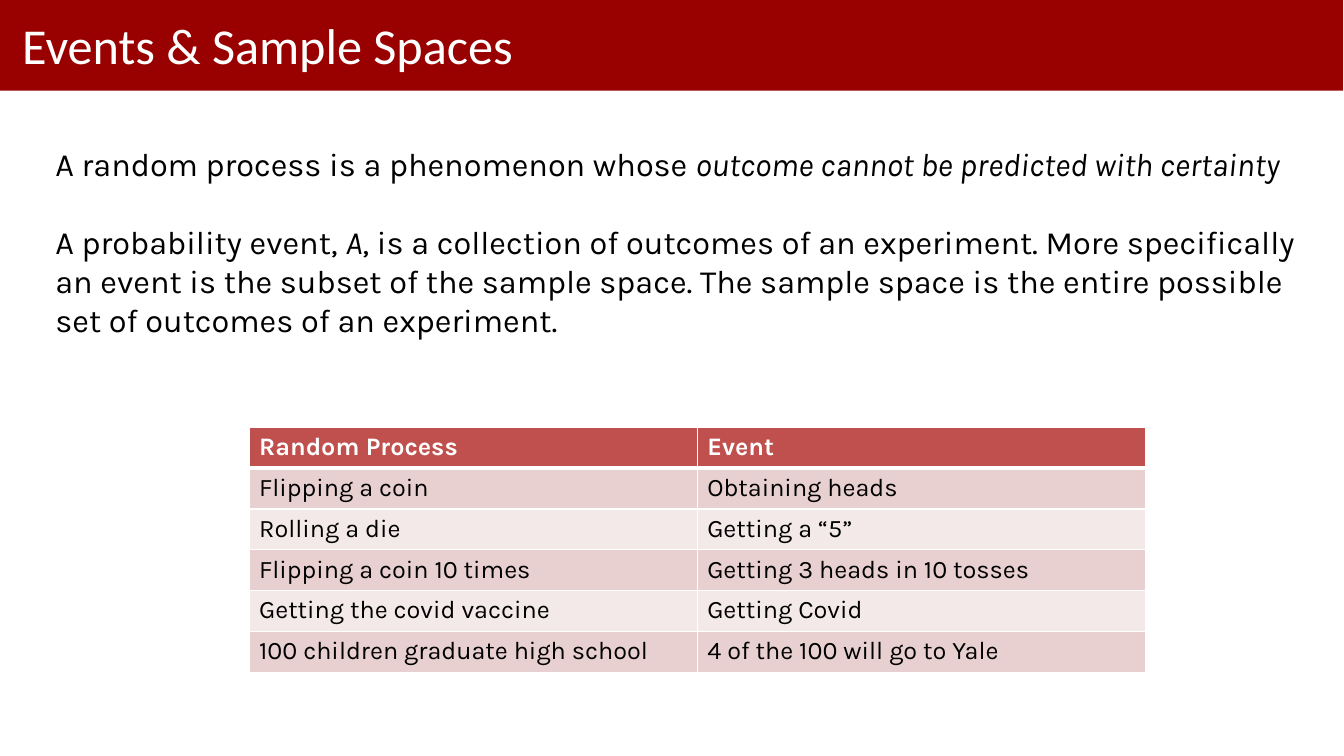
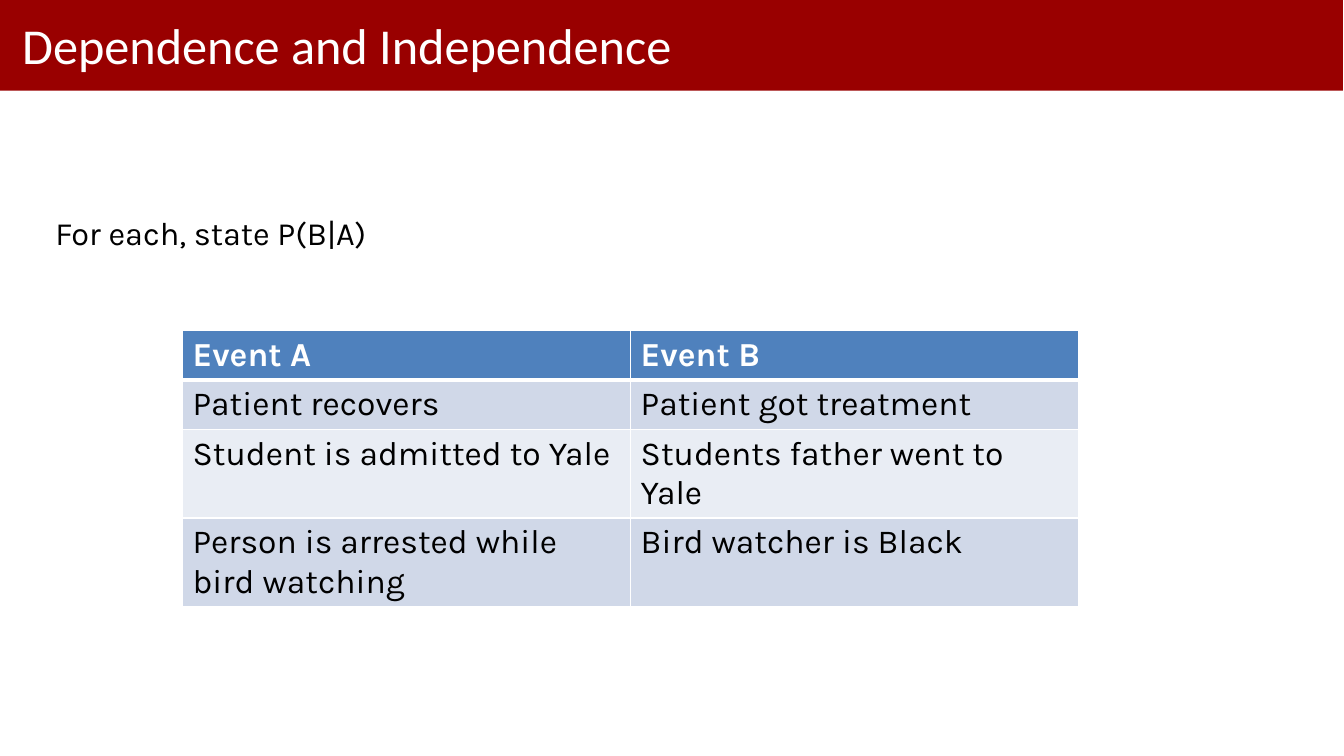
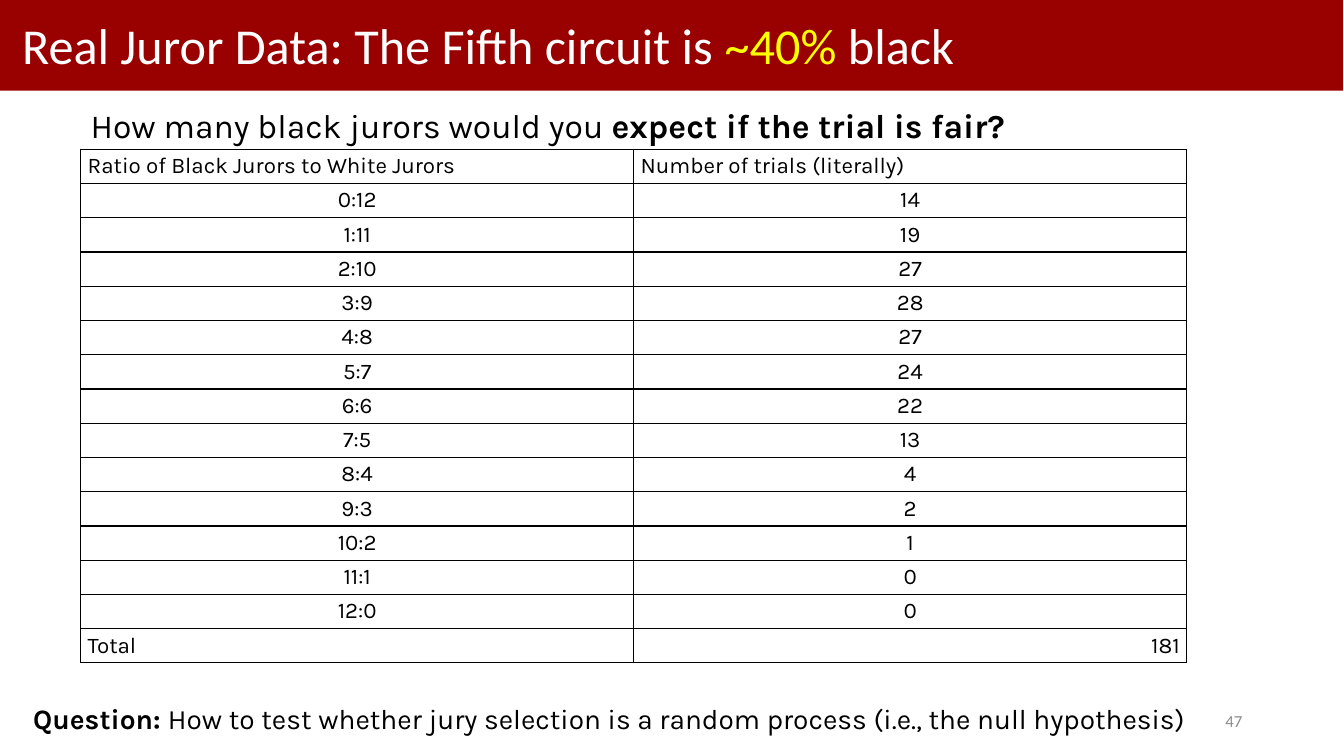
"""Builds three slides on probability, dependence and juror data."""
from lxml.etree import SubElement
from pptx import Presentation
from pptx.dml.color import RGBColor as RGB
from pptx.enum.shapes import MSO_SHAPE as Shape
from pptx.enum.text import MSO_ANCHOR as Anchor, MSO_AUTO_SIZE as Auto, PP_ALIGN as Align
from pptx.oxml.ns import qn
from pptx.util import Pt

PX = 9144
WHITE, BLACK, RED, GRAY, YELLOW = "FFFFFF", "000000", "990000", "8C8C8C", "FFFF00"
HEAD, BODY = "Calibri", "Karla"
LEFT, MID, RIGHT = Align.LEFT, Align.CENTER, Align.RIGHT

ROSE = ("C0504D", "E8D0D0", "F4E9E9")
BLUE = ("4F81BD", "D0D8E8", "E9EDF4")

EVENTS = [
    ("Random Process", "Event"),
    ("Flipping a coin", "Obtaining heads"),
    ("Rolling a die", "Getting a “5”"),
    ("Flipping a coin 10 times", "Getting 3 heads in 10 tosses"),
    ("Getting the covid vaccine", "Getting Covid"),
    ("100 children graduate high school", "4 of the 100 will go to Yale"),
]
PAIRS = [
    ("Event A", "Event B"),
    ("Patient recovers", "Patient got treatment"),
    ("Student is admitted to Yale", "Students father went to Yale"),
    ("Person is arrested while bird watching", "Bird watcher is Black"),
]
TRIALS = [14, 19, 27, 28, 27, 24, 22, 13, 4, 2, 1, 0, 0]
JURORS = [
    ("Ratio of Black Jurors to White Jurors", "Number of trials (literally)"),
    *((f"{n}:{12 - n}", str(count)) for n, count in enumerate(TRIALS)),
    ("Total", str(sum(TRIALS))),
]

SLIDES = [
    dict(
        title=[("Events & Sample Spaces", {})], wide=807,
        texts=[dict(at=(55, 143, 1244, 235), size=23.2, inset=0, gap=27.9, paras=[
            [("A random process is a phenomenon whose ", {}),
             ("outcome cannot be predicted with certainty", {"italic": True})],
            [("A probability event, ", {}), ("A", {"italic": True}),
             (", is a collection of outcomes of an experiment. More specifically an event is "
              "the subset of the sample space. The sample space is the entire possible set of "
              "outcomes of an experiment.", {})],
        ])],
        table=dict(at=(247, 424, 889, 243), rows=EVENTS, size=18, tones=ROSE),
    ),
    dict(
        title=[("Dependence and Independence", {})], wide=807,
        texts=[dict(at=(55, 211, 1244, 39), size=23.2, inset=0,
                    paras=[[("For each, state P(B|A)", {})]])],
        table=dict(at=(181, 328, 889, 274), rows=PAIRS, size=24, tones=BLUE,
                   tall=(49, 49, 88, 88)),
    ),
    dict(
        title=[("Real Juror Data: The Fifth circuit is ", {}),
               ("~40% ", {"color": YELLOW}), ("black", {})], wide=1117,
        table=dict(at=(80, 148, 1097, 505), rows=JURORS, size=16),
        texts=[
            dict(at=(942, 695, 300, 40), size=12, font=HEAD, color=GRAY, align=RIGHT,
                 anchor=Anchor.MIDDLE, paras=[[("47", {})]]),
            dict(at=(80, 99, 1129, 50), size=24, paras=[[
                ("How many black jurors would you ", {}),
                ("expect if the trial is fair?", {"bold": True})]]),
            dict(at=(23, 691, 1164, 44), size=20, wrap=False, paras=[[
                ("Question: ", {"bold": True}),
                ("How to test whether jury selection is a random process "
                 "(i.e., the null hypothesis)", {})]]),
        ],
    ),
]


def tint(code):
    return RGB.from_string(code)


def scale(box):
    return [n * PX for n in box]


def style(run, size, font, color, bold=False, italic=False):
    face = run.font
    face.size, face.name, face.bold, face.italic = Pt(size), font, bold, italic
    face.color.rgb = tint(color)


def write(frame, paras, size, font=BODY, color=BLACK, align=LEFT, anchor=Anchor.TOP,
          inset=None, gap=0, wrap=True):
    frame.word_wrap, frame.auto_size, frame.vertical_anchor = wrap, Auto.NONE, anchor
    if inset is not None:
        frame.margin_left = frame.margin_right = inset * PX
        frame.margin_top = frame.margin_bottom = inset * PX
    for n, parts in enumerate(paras):
        para = frame.add_paragraph() if n else frame.paragraphs[0]
        para.alignment = align
        if n:
            para.space_before = Pt(gap)
        for words, look in parts:
            run = para.add_run()
            run.text = words
            style(run, size, font, **{"color": color, **look})


def border(cell, color, widths):
    props = cell._tc.get_or_add_tcPr()
    for n, (side, width) in enumerate(zip("LRTB", widths)):
        line = SubElement(props, qn(f"a:ln{side}"), w=str(Pt(width)))
        fill = SubElement(line, qn("a:solidFill"))
        SubElement(fill, qn("a:srgbClr"), val=color)
        props.insert(n, line)


def place(row, col, last):
    if row == 0:
        return LEFT
    if row == last:
        return RIGHT if col else LEFT
    return MID


def grid(slide, at, rows, size, tones=None, tall=()):
    table = slide.shapes.add_table(len(rows), len(rows[0]), *scale(at)).table
    for row, high in zip(table.rows, tall):
        row.height = high * PX
    for r, texts in enumerate(rows):
        for c, words in enumerate(texts):
            cell = table.cell(r, c)
            cell.text = words
            para = cell.text_frame.paragraphs[0]
            top = bool(tones) and r == 0
            style(para.runs[0], size, BODY, WHITE if top else BLACK, bold=top)
            if tones:
                cell.fill.solid()
                cell.fill.fore_color.rgb = tint(tones[0 if top else 2 - r % 2])
                border(cell, WHITE, (1, 1, 3 if r == 1 else 1, 3 if top else 1))
            else:
                cell.fill.background()
                cell.margin_left = cell.margin_right = 7 * PX
                cell.margin_top = cell.margin_bottom = 4 * PX
                para.alignment = place(r, c, len(rows) - 1)
                border(cell, BLACK, (1, 1, 1, 1))


def band(slide, layout):
    bar = slide.shapes.add_shape(Shape.RECTANGLE, 0, 0, 1332 * PX, 90 * PX)
    bar.shadow.inherit = False
    bar.fill.solid()
    bar.fill.fore_color.rgb = tint(RED)
    bar.line.fill.background()
    layout.shapes.element.insert(2, bar.element)


def main():
    deck = Presentation()
    deck.slide_width, deck.slide_height = scale((1333, 750))
    layout = deck.slide_layouts[5]
    for n, page in enumerate(SLIDES):
        slide = deck.slides.add_slide(layout)
        if n == 0:
            band(slide, layout)
        title = slide.shapes.title
        title.left, title.top, title.width, title.height = scale((22, 14, page["wide"], 60))
        write(title.text_frame, [page["title"]], 35.9, HEAD, WHITE, inset=0)
        grid(slide, **page["table"])
        for text in page["texts"]:
            look = {key: val for key, val in text.items() if key != "at"}
            write(slide.shapes.add_textbox(*scale(text["at"])).text_frame, **look)
    deck.save("out.pptx")


if __name__ == "__main__":
    main()
